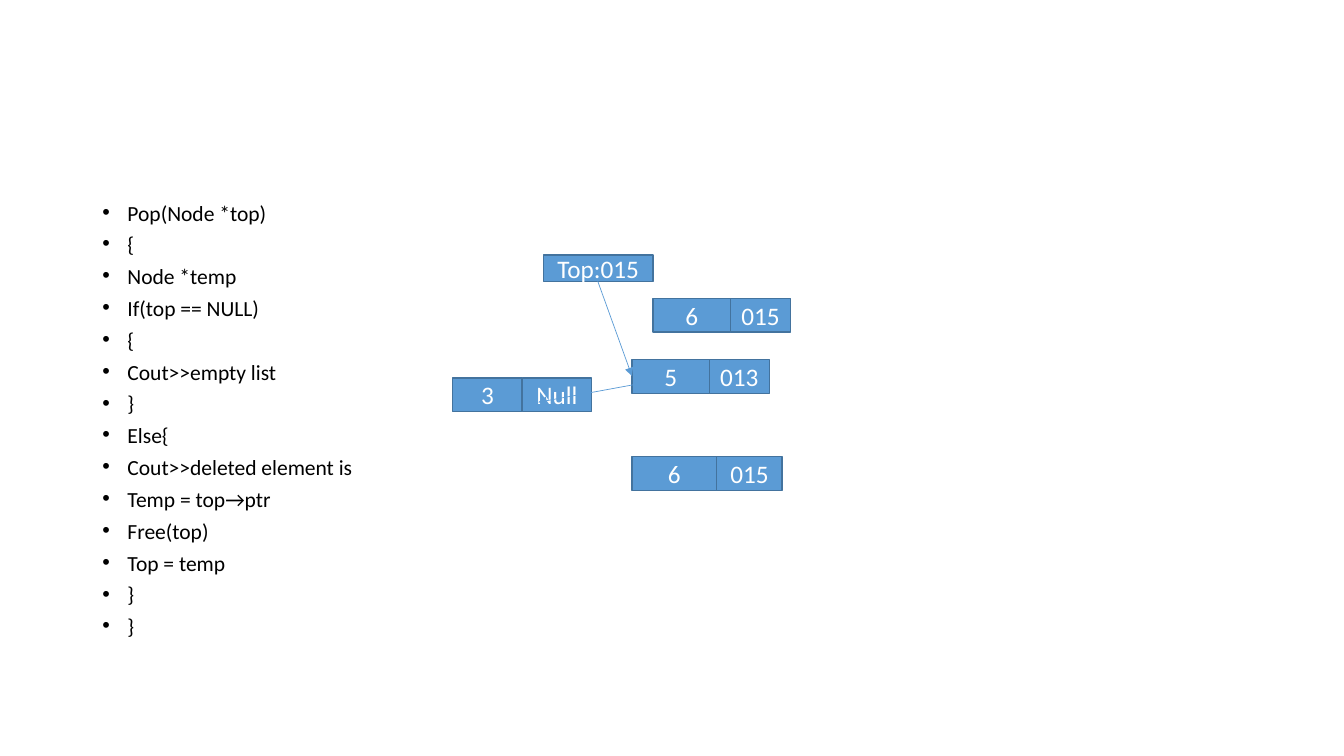
from dataclasses import dataclass

from lxml.etree import SubElement
from pptx import Presentation
from pptx.dml.color import RGBColor
from pptx.enum.shapes import MSO_CONNECTOR, MSO_SHAPE
from pptx.enum.text import MSO_ANCHOR, PP_ALIGN
from pptx.oxml.ns import qn
from pptx.shapes.shapetree import GroupShapes, SlideShapes
from pptx.util import Pt

BLACK = RGBColor(0x00, 0x00, 0x00)
WHITE = RGBColor(0xFF, 0xFF, 0xFF)
BLUE = RGBColor(0x5B, 0x9B, 0xD5)
DARK_BLUE = RGBColor(0x43, 0x73, 0x9E)
FONT = "Calibri"
NODE_HEIGHT = 24

CODE_LINES = [
    "Pop(Node *top)", "{", "Node *temp", "If(top == NULL)", "{",
    "Cout>>empty list", "}", "Else{", "Cout>>deleted element is",
    "Temp = top→ptr", "Free(top)", "Top = temp", "}", "}",
]


@dataclass
class Node:
    left: float
    top: float
    value: str
    value_width: float
    pointer: str
    pointer_width: float


@dataclass
class Arrow:
    start: tuple[float, float]
    end: tuple[float, float]


NODES = [
    Node(323.3, 270, "3", 49.7, "Null", 49.7),
    Node(451.4, 257, "5", 55.4, "013", 42.7),
    Node(466.5, 213.1, "6", 55.4, "015", 42.7),
    Node(451.4, 326.2, "6", 60.5, "015", 46.8),
]
ARROWS = [
    Arrow((427, 200.9), (451.4, 268.6)),
    Arrow((463, 272.9), (384.5, 287.3)),
]


def add_code(shapes: SlideShapes) -> None:
    box = shapes.add_textbox(Pt(66), Pt(144), Pt(828), Pt(342.7))
    frame = box.text_frame
    frame.word_wrap = True
    frame.text = "\n".join(CODE_LINES)
    for para in frame.paragraphs:
        para.line_spacing = 0.7
        para.space_before = Pt(9.8)
        para.font.name = FONT
        para.font.size = Pt(15.4)
        para.font.color.rgb = BLACK
        for span in para.runs:
            span.font.name = FONT
            span.font.size = Pt(15.4)
            span.font.color.rgb = BLACK
        # Bullet with a hanging indent
        properties = para._p.get_or_add_pPr()
        properties.set("marL", str(Pt(18)))
        properties.set("indent", str(-Pt(18)))
        bullet_font = properties.makeelement(qn("a:buFont"), {"typeface": "Arial"})
        bullet = properties.makeelement(qn("a:buChar"), {"char": "•"})
        defaults = properties.find(qn("a:defRPr"))
        defaults.addprevious(bullet_font)
        defaults.addprevious(bullet)


def add_cell(shapes: SlideShapes | GroupShapes, left: float, top: float,
             width: float, height: float, text: str) -> None:
    box = shapes.add_shape(MSO_SHAPE.RECTANGLE, Pt(left), Pt(top), Pt(width), Pt(height))
    box.shadow.inherit = False
    box.fill.solid()
    box.fill.fore_color.rgb = BLUE
    box.line.color.rgb = DARK_BLUE
    box.line.width = Pt(1)
    frame = box.text_frame
    frame.word_wrap = True
    frame.margin_left = frame.margin_right = Pt(0)
    frame.vertical_anchor = MSO_ANCHOR.MIDDLE
    frame.text = text
    para = frame.paragraphs[0]
    para.alignment = PP_ALIGN.CENTER
    font = para.runs[0].font
    font.name = FONT
    font.size = Pt(18)
    font.color.rgb = WHITE


def add_node(shapes: SlideShapes, node: Node) -> None:
    cells = shapes.add_group_shape().shapes
    add_cell(cells, node.left, node.top, node.value_width, NODE_HEIGHT, node.value)
    add_cell(cells, node.left + node.value_width, node.top,
             node.pointer_width, NODE_HEIGHT, node.pointer)


def add_arrow(shapes: SlideShapes, arrow: Arrow) -> None:
    start_x, start_y = arrow.start
    end_x, end_y = arrow.end
    connector = shapes.add_connector(
        MSO_CONNECTOR.STRAIGHT, Pt(start_x), Pt(start_y), Pt(end_x), Pt(end_y))
    connector.line.color.rgb = BLUE
    connector.line.width = Pt(0.5)
    SubElement(connector.line._get_or_add_ln(), qn("a:tailEnd"), {"type": "triangle"})
    SubElement(connector._element.spPr, qn("a:effectLst"))


def main() -> None:
    deck = Presentation()
    deck.slide_width, deck.slide_height = Pt(960), Pt(540)
    page = deck.slides.add_slide(deck.slide_layouts[6])

    # Pop routine
    add_code(page.shapes)

    # Top pointer and list nodes
    add_cell(page.shapes, 388, 182.2, 78.5, 18.7, "Top:015")
    for node in NODES:
        add_node(page.shapes, node)

    # Links
    for arrow in ARROWS:
        add_arrow(page.shapes, arrow)

    deck.save("out.pptx")


if __name__ == "__main__":
    main()
